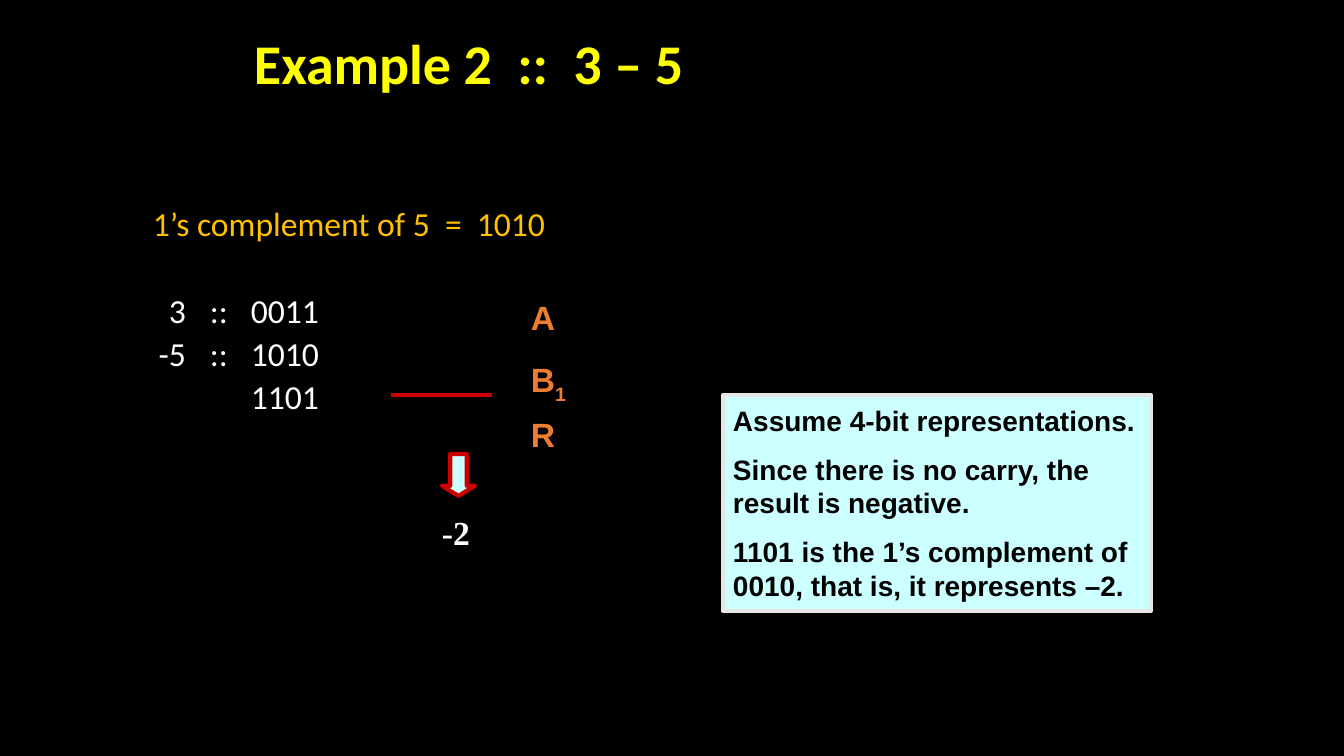
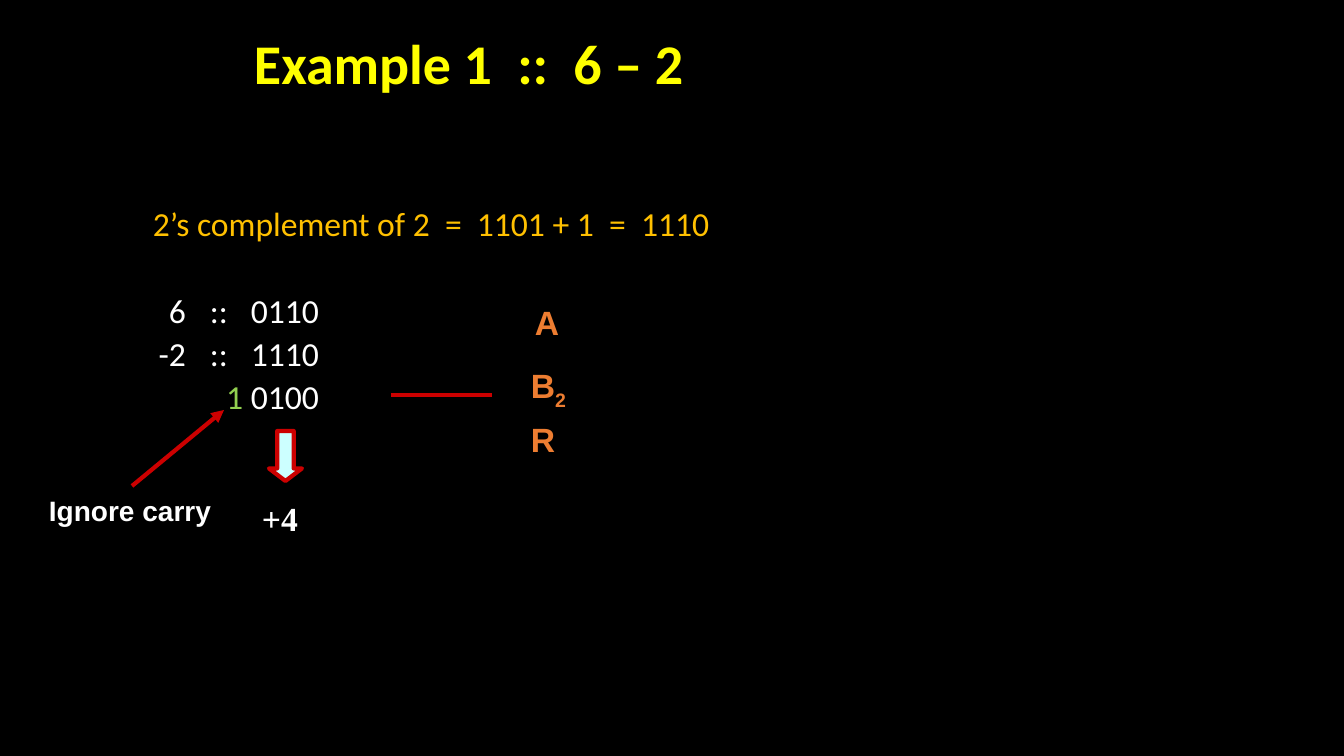
from lxml.etree import SubElement
from pptx import Presentation
from pptx.dml.color import RGBColor
from pptx.enum.shapes import MSO_CONNECTOR, MSO_SHAPE
from pptx.enum.text import MSO_ANCHOR, PP_ALIGN
from pptx.oxml.ns import qn
from pptx.util import Emu, Pt

SCALE = 914400 / 100.8  # EMU in one px


def px(length):
    return Emu(round(length * SCALE))


def color(code):
    return RGBColor.from_string(code)


class Board:
    """Shared style, and the slide being filled."""
    BLACK, WHITE, YELLOW = "000000", "FFFFFF", "FFFF00"
    AMBER, ORANGE, GREEN = "FFC000", "ED7D31", "92D050"
    RED, ICE, GRAY = "CC0000", "CCFFFF", "E7E6E6"
    BODY, NOTE, NUMBER = "Calibri", "Arial", "Times New Roman"
    LINE_WIDTH = Pt(3)
    # Columns of the sum: label, colons, value
    COLUMNS = ((33, "r"), (57, "l"), (166, "r"))

    def __init__(self):
        self.deck = Presentation()
        self.deck.slide_width, self.deck.slide_height = px(1344), px(756)
        self.page = None

    def add_page(self, title):
        self.page = self.deck.slides.add_slide(self.deck.slide_layouts[6])
        fill = self.page.background.fill
        fill.solid()
        fill.fore_color.rgb = color(self.BLACK)
        box = self.text_box(244, 33, 857, 67, 10, 5)
        box.text_frame.vertical_anchor = MSO_ANCHOR.MIDDLE
        para = box.text_frame.paragraphs[0]
        para.line_spacing = 0.9
        self.span(para, title, self.BODY, 40, self.YELLOW, True)

    def frame(self, shape, side, top):
        text = shape.text_frame
        text.word_wrap = True
        text.margin_left = text.margin_right = px(side)
        text.margin_top, text.margin_bottom = px(top), px(5)
        return text

    def text_box(self, left, top, width, height, side=10, inset=8):
        box = self.page.shapes.add_textbox(
            px(left), px(top), px(width), px(height))
        self.frame(box, side, inset)
        return box

    def span(self, para, text, font, size, code, bold=False):
        run = para.add_run()
        run.text = text
        run.font.name, run.font.size, run.font.bold = font, Pt(size), bold
        run.font.color.rgb = color(code)
        return run

    def working(self, heading, rows):
        """Heading and sum; a row is a list of (text, color) parts."""
        text = self.text_box(153, 202, 1000, 230, 0, 5).text_frame
        lines = [[(heading, self.AMBER)], *rows]
        for index, parts in enumerate(lines):
            para = text.paragraphs[0] if index == 0 else text.add_paragraph()
            para.line_spacing = 0.9
            para.space_before = Pt(36.4 if index == 1 else 5)
            if index:
                stops = SubElement(para._p.get_or_add_pPr(), qn("a:tabLst"))
                for place, side in self.COLUMNS:
                    SubElement(stops, qn("a:tab"), pos=str(px(place)), algn=side)
            for part, code in parts:
                self.span(para, part, self.BODY, 24, code)

    def note(self, left, top, width, text, font, size, code, subscript=""):
        box = self.text_box(left, top, width, 50)
        para = box.text_frame.paragraphs[0]
        self.span(para, text, font, size, code, True)
        if subscript:
            run = self.span(para, subscript, font, size, code, True)
            run._r.get_or_add_rPr().set("baseline", "-25000")

    def operand(self, left, top, text, subscript=""):
        self.note(left, top, 76, text, self.NOTE, 24, self.ORANGE, subscript)

    def line(self, start, end, arrow=False):
        line = self.page.shapes.add_connector(
            MSO_CONNECTOR.STRAIGHT, *map(px, start + end))
        line.line.color.rgb = color(self.RED)
        line.line.width = self.LINE_WIDTH
        if arrow:
            SubElement(line.line._get_or_add_ln(), qn("a:tailEnd"), type="triangle")
        SubElement(line._element.spPr, qn("a:effectLst"))

    def sum_rule(self):
        self.line((391, 395), (492, 395))

    def shape(self, kind, left, top, width, height, outline):
        shape = self.page.shapes.add_shape(
            kind, px(left), px(top), px(width), px(height))
        shape.shadow.inherit = False
        shape.fill.solid()
        shape.fill.fore_color.rgb = color(self.ICE)
        shape.line.color.rgb = color(outline)
        shape.line.width = self.LINE_WIDTH
        return shape

    def result(self, arrow_left, arrow_top, arrow_height, head, left, top, text):
        """Down arrow with the decimal value below it."""
        arrow = self.shape(MSO_SHAPE.DOWN_ARROW, arrow_left, arrow_top,
                           33, arrow_height, self.RED)
        arrow.adjustments[1] = head
        self.note(left, top, 67, text, self.NUMBER, 24, self.WHITE)

    def callout(self, left, top, width, height, lines):
        box = self.shape(MSO_SHAPE.RECTANGLE, left, top, width, height, self.GRAY)
        text = self.frame(box, 10, 8)
        text.vertical_anchor = MSO_ANCHOR.TOP
        for index, words in enumerate(lines):
            para = text.paragraphs[0] if index == 0 else text.add_paragraph()
            para.alignment = PP_ALIGN.LEFT
            para.space_before = Pt(11 if index else 0)
            self.span(para, words, self.NOTE, 20, self.BLACK, True)


def main():
    board = Board()
    white = board.WHITE

    # Negative result in 1's complement
    board.add_page("Example 2  ::  3 – 5")
    board.working("1’s complement of 5  =  1010", [
        [("\t3\t::\t0011", white)],
        [("\t-5\t::\t1010", white)],
        [("\t\t\t1101", white)],
    ])
    board.sum_rule()
    board.callout(723, 395, 428, 216, [
        "Assume 4-bit representations.",
        "Since there is no carry, the result is negative.",
        "1101 is the 1’s complement of 0010, that is, it represents –2.",
    ])
    board.operand(521, 289, "A")
    board.operand(521, 351, "B", "1")
    board.operand(521, 406, "R")
    board.result(442, 454, 42, 0.31, 432, 504, "-2")

    # Positive result in 2's complement
    board.add_page("Example 1  ::  6 – 2")
    board.working("2’s complement of 2  =  1101 + 1  =  1110", [
        [("\t6\t::\t0110", white)],
        [("\t-2\t::\t1110", white)],
        [("\t\t\t", white), ("1", board.GREEN), (" 0100", white)],
    ])
    board.sum_rule()
    board.operand(525, 294, "A")
    board.operand(521, 357, "B", "2")
    board.operand(521, 411, "R")
    board.line((132, 486), (224, 410), arrow=True)
    board.note(39, 486, 194, "Ignore carry", board.NOTE, 20, white)
    board.result(269, 431, 50, 0.38, 252, 490, "+4")

    board.deck.save("out.pptx")


if __name__ == "__main__":
    main()
